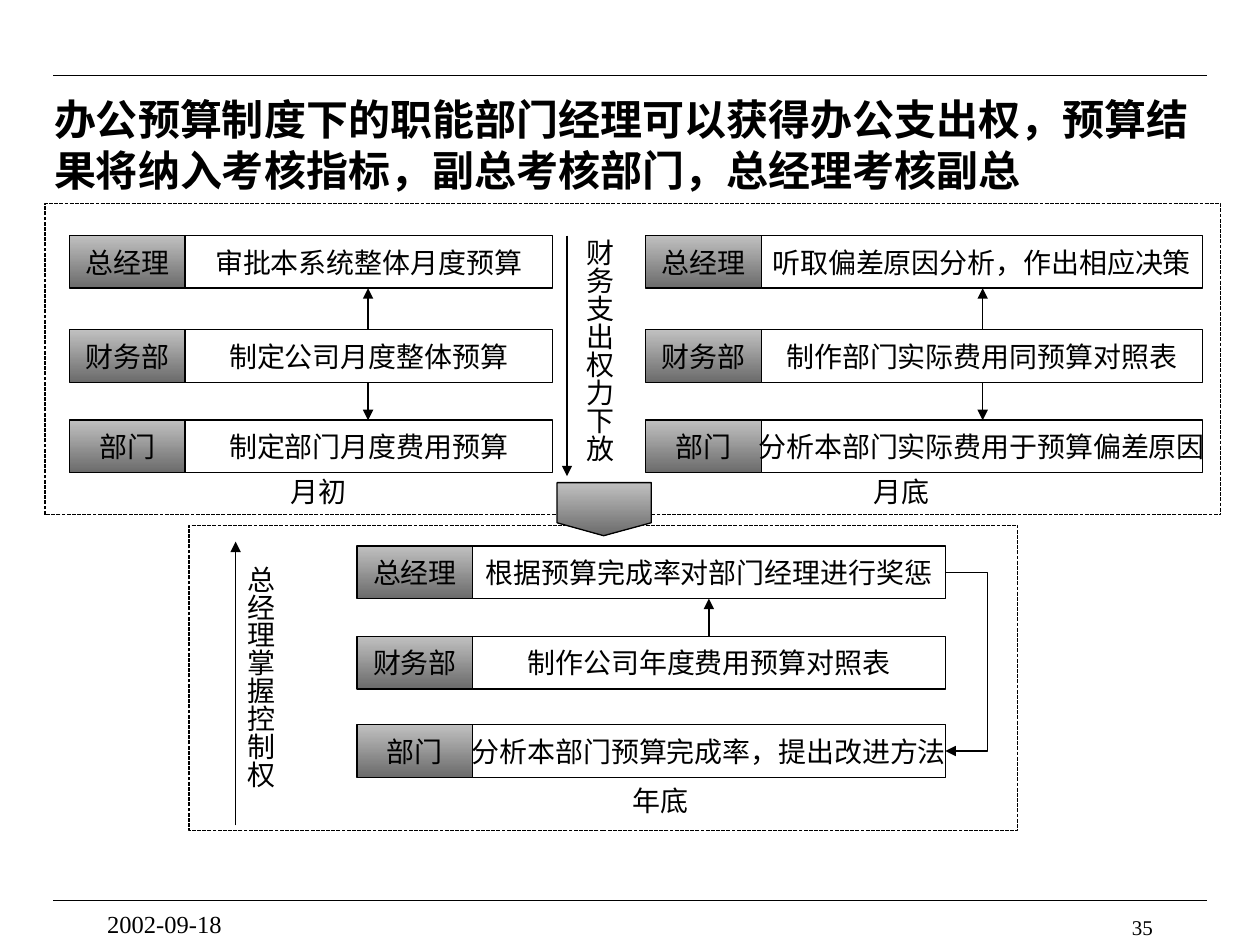
"""Build the slide on the office budget system and its approval flow."""
from lxml.etree import SubElement
from pptx import Presentation
from pptx.dml.color import RGBColor
from pptx.enum.dml import MSO_LINE
from pptx.enum.shapes import MSO_CONNECTOR, MSO_SHAPE
from pptx.enum.text import MSO_ANCHOR, PP_ALIGN
from pptx.oxml.ns import qn
from pptx.util import Cm, Pt

color = RGBColor.from_string
BLACK, WHITE, LIGHT_GRAY, DARK_GRAY = "000000", "FFFFFF", "C0C0C0", "6B6B6B"

presentation = Presentation()
presentation.slide_width, presentation.slide_height = Cm(25.4), Cm(19.05)
slide = presentation.slides.add_slide(presentation.slide_layouts[6])


def write(text, shape, size=16, bold=False, align=PP_ALIGN.CENTER,
          anchor=MSO_ANCHOR.MIDDLE, wrap=False, vertical=False):
    frame = shape.text_frame
    frame.word_wrap, frame.vertical_anchor = wrap, anchor
    if vertical:
        frame.margin_left = frame.margin_right = Cm(0.13)
        frame.margin_top = frame.margin_bottom = Cm(0.25)
        frame._txBody.bodyPr.set("vert", "eaVert")
    paragraph = frame.paragraphs[0]
    paragraph.alignment = align
    run = paragraph.add_run()
    run.text = text
    run.font.name, run.font.size, run.font.bold = "Times New Roman", Pt(size), bold
    run.font.color.rgb = color(BLACK)


def add_line(start, end, arrow=True, kind=MSO_CONNECTOR.STRAIGHT):
    points = [Cm(value) for value in (*start, *end)]
    connector = slide.shapes.add_connector(kind, *points)
    connector.line.width = Pt(0.75)
    connector.line.color.rgb = color(BLACK)
    if arrow:
        SubElement(connector.line._get_or_add_ln(), qn("a:tailEnd"), type="triangle")
    SubElement(connector._element.spPr, qn("a:effectLst"))
    return connector


for rule_top in (1.52, 18.15):
    add_line((1.07, rule_top), (24.33, rule_top), arrow=False)

for bounds in ((3.81, 10.59, 16.71, 6.15), (0.91, 4.11, 23.7, 6.27)):
    panel = slide.shapes.add_shape(MSO_SHAPE.RECTANGLE, *map(Cm, bounds))
    panel.shadow.inherit = False
    panel.fill.solid()
    panel.fill.fore_color.rgb = color(WHITE)
    panel.line.color.rgb = color(BLACK)
    panel.line.width = Pt(0.75)
    panel.line.dash_style = MSO_LINE.SQUARE_DOT

title = slide.shapes.add_textbox(Cm(0.84), Cm(1.85), Cm(23.93), Cm(2.11))
write("办公预算制度下的职能部门经理可以获得办公支出权，预算结果将纳入考核指标，副总考核部门，总经理考核副总",
      title, size=24, bold=True, align=PP_ALIGN.LEFT, wrap=True)

roles = ("总经理", "财务部", "部门")
role_width, row_height = 2.33, 1.06
month_rows, year_rows = (4.75, 6.65, 8.47), (11.01, 12.83, 14.61)
stages = (
    (1.4, 7.41, month_rows,
     ("审批本系统整体月度预算", "制定公司月度整体预算", "制定部门月度费用预算"), "月初", 5.61, 9.43),
    (13.02, 8.89, month_rows,
     ("听取偏差原因分析，作出相应决策", "制作部门实际费用同预算对照表", "分析本部门实际费用于预算偏差原因"),
     "月底", 17.35, 9.43),
    (7.2, 9.53, year_rows,
     ("根据预算完成率对部门经理进行奖惩", "制作公司年度费用预算对照表", "分析本部门预算完成率，提出改进方法"),
     "年底", 12.5, 15.67),
)
gradient_shapes = []
for left, task_width, rows, tasks, period, period_left, period_top in stages:
    for top, role, task in zip(rows, roles, tasks):
        for text, cell_left, width in ((role, left, role_width),
                                       (task, left + role_width, task_width)):
            cell = slide.shapes.add_shape(
                MSO_SHAPE.RECTANGLE, Cm(cell_left), Cm(top), Cm(width), Cm(row_height))
            cell.shadow.inherit = False
            cell.line.color.rgb = color(BLACK)
            cell.line.width = Pt(0.75)
            write(text, cell)
            if text == role:
                gradient_shapes.append(cell)
            else:
                cell.fill.solid()
                cell.fill.fore_color.rgb = color(WHITE)
    caption = slide.shapes.add_textbox(Cm(period_left), Cm(period_top), Cm(1.63), Cm(0.94))
    write(period, caption)

for text, left, top in (("财务支出权力下放", 11.51, 4.57), ("总经理掌握控制权", 4.67, 11.15)):
    side_note = slide.shapes.add_textbox(Cm(left), Cm(top), Cm(1.17), Cm(5.05))
    write(text, side_note, wrap=True, vertical=True)

builder = slide.shapes.build_freeform(Cm(13.13), Cm(9.73))
builder.add_line_segments([(Cm(x), Cm(y)) for x, y in (
    (13.13, 10.54), (12.17, 10.8), (11.23, 10.54), (11.23, 9.73))])
down_marker = builder.convert_to_shape()
down_marker.shadow.inherit = False
down_marker.line.color.rgb = color(BLACK)
down_marker.line.width = Pt(0.75)
gradient_shapes.append(down_marker)

for shape in gradient_shapes:
    shape.fill.gradient()
    shape.fill.gradient_angle = 270
    for stop, shade in zip(shape.fill.gradient_stops, (LIGHT_GRAY, DARK_GRAY)):
        stop.color.rgb = color(shade)

add_line((11.43, 4.75), (11.43, 9.6))
add_line((4.75, 16.64), (4.75, 10.92))
for x in (7.42, 19.81):
    add_line((x, month_rows[1]), (x, month_rows[0] + row_height))
    add_line((x, month_rows[1] + row_height), (x, month_rows[2]))
add_line((14.29, year_rows[1]), (14.29, year_rows[0] + row_height))

feedback = add_line((19.05, year_rows[0] + row_height / 2),
                    (19.06, year_rows[2] + row_height / 2), kind=MSO_CONNECTOR.ELBOW)
adjustments = feedback._element.spPr.find(qn("a:prstGeom")).find(qn("a:avLst"))
SubElement(adjustments, qn("a:gd"), name="adj1", fmla="val 8600000")

page_number = slide.shapes.add_textbox(Cm(18.21), Cm(18.31), Cm(5.28), Cm(0.43))
write("35", page_number, size=12, align=PP_ALIGN.RIGHT, anchor=MSO_ANCHOR.TOP, wrap=True)
date = slide.shapes.add_textbox(Cm(1.91), Cm(18.21), Cm(5.28), Cm(0.64))
write("2002-09-18", date, size=14, align=PP_ALIGN.LEFT, anchor=MSO_ANCHOR.TOP, wrap=True)

presentation.save("out.pptx")
